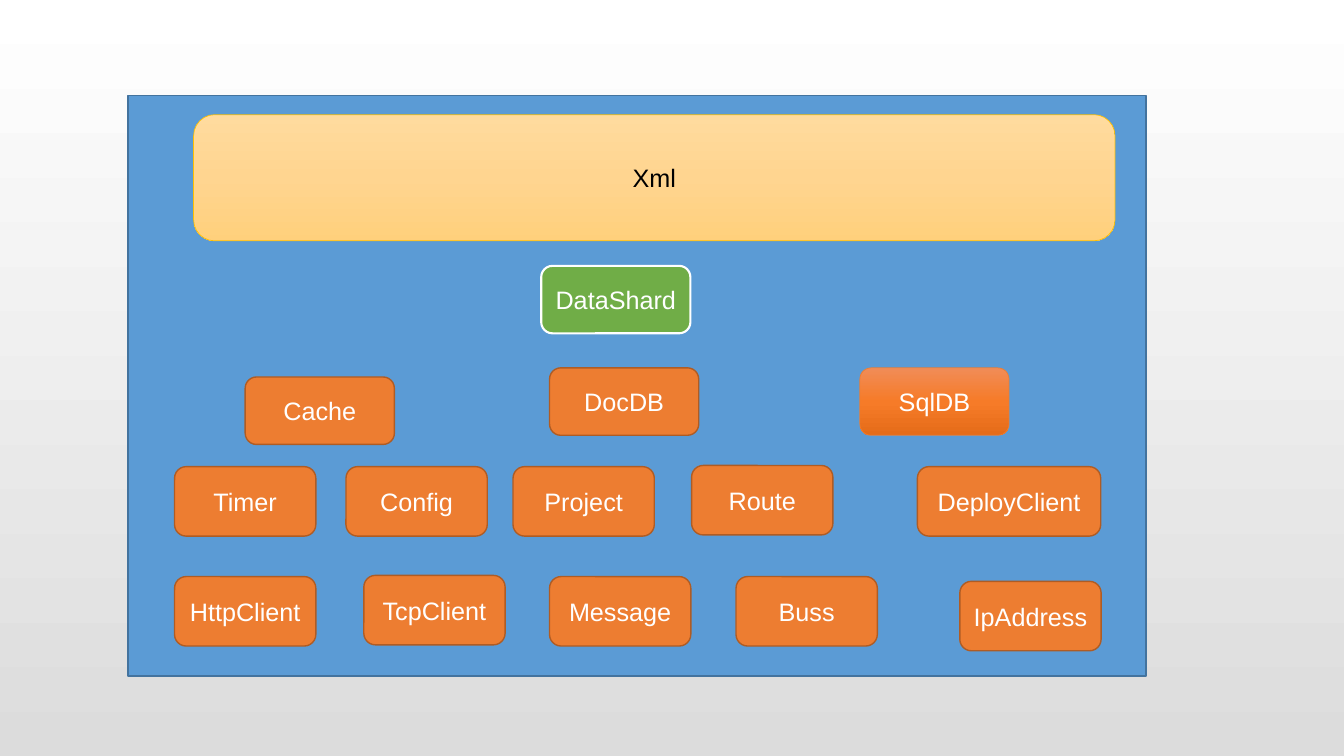
from lxml.etree import SubElement
from pptx import Presentation
from pptx.dml.color import RGBColor
from pptx.enum.shapes import MSO_SHAPE
from pptx.enum.text import MSO_ANCHOR, PP_ALIGN
from pptx.oxml.ns import qn
from pptx.util import Cm, Pt

ORANGE, ORANGE_EDGE = "ED7D31", "AF5C24"


def rgb(value):
    return RGBColor.from_string(value)


def paint(fill, element, colors):
    """Solid fill for one colour, evenly spaced downward gradient for several."""
    if len(colors) == 1:
        fill.solid()
        fill.fore_color.rgb = rgb(colors[0])
        return
    fill.gradient()
    fill.gradient_angle = 270
    stops = next(element.iter(qn("a:gsLst")))
    stops.clear()
    for i, color in enumerate(colors):
        stop = SubElement(stops, qn("a:gs"), pos=str(100000 * i // (len(colors) - 1)))
        SubElement(stop, qn("a:srgbClr"), val=color)


def write(shape, text, size=18, color="FFFFFF", font="Arial"):
    frame = shape.text_frame
    frame.word_wrap = True
    frame.vertical_anchor = MSO_ANCHOR.MIDDLE
    paragraph = frame.paragraphs[0]
    paragraph.alignment = PP_ALIGN.CENTER
    run = paragraph.add_run()
    run.text = text
    run.font.size = Pt(size)
    run.font.name = font
    run.font.color.rgb = rgb(color)


def block(slide, box, colors=(ORANGE,), edge=ORANGE_EDGE, edge_width=1,
          kind=MSO_SHAPE.ROUNDED_RECTANGLE):
    shape = slide.shapes.add_shape(kind, *(Cm(length) for length in box))
    shape.shadow.inherit = False
    paint(shape.fill, shape.element, colors)
    shape.line.color.rgb = rgb(edge)
    shape.line.width = Pt(edge_width)
    return shape


def data_format(slide, box):
    left, top, width, height = box
    xml = block(slide, (left + 1.65, top, width - 2.43, height),
                ("FFDB9E", "FFD590", "FFD07C"), "FFC000", 0.5)
    write(xml, "Xml", color="000000")


def data_layer(slide, box):
    left, top, width, height = box
    shard = block(slide, (left + 10.41, top, 3.76, height), ("70AD47",), "FFFFFF", 1.5)
    write(shard, "DataShard")


def module_row(slide, box, modules, module_width):
    """Each module: name, offset from the row's left and top, own look or width."""
    left, top, _, height = box
    for name, dx, dy, options in modules:
        look = dict(options)
        width = look.pop("width", module_width)
        write(block(slide, (left + dx, top + dy, width, height), **look), name)


def architecture(slide, box):
    left, top, width, height = box
    block(slide, box, ("5B9BD5",), "43739E", kind=MSO_SHAPE.RECTANGLE)

    def band(offset, band_height):
        return left, top + offset, width, band_height

    data_format(slide, band(0.48, 3.18))
    data_layer(slide, band(4.29, 1.7))

    # Data stores
    glossy = {"colors": ("F18C57", "F67B28", "E56C19"), "edge": ORANGE, "edge_width": 0.5}
    module_row(slide, band(6.86, 1.7), [
        ("Cache", 2.95, 0.23, {}),
        ("DocDB", 10.62, 0, {}),
        ("SqlDB", 18.44, 0, glossy),
    ], 3.76)

    # Services
    module_row(slide, band(9.35, 1.75), [
        ("Timer", 1.17, 0, {}),
        ("Config", 5.49, 0, {}),
        ("Project", 9.7, 0, {}),
        ("Route", 14.2, -0.03, {}),
        ("DeployClient", 19.89, 0, {"width": 4.62}),
    ], 3.56)

    # Network
    module_row(slide, band(12.12, 1.75), [
        ("HttpClient", 1.17, 0, {}),
        ("TcpClient", 5.94, -0.03, {}),
        ("Message", 10.62, 0, {}),
        ("Buss", 15.32, 0, {}),
        ("IpAddress", 20.96, 0.12, {}),
    ], 3.56)


def main():
    presentation = Presentation()
    presentation.slide_width, presentation.slide_height = Cm(33.87), Cm(19.05)
    slide = presentation.slides.add_slide(presentation.slide_layouts[6])
    paint(slide.background.fill, slide.element, ("FFFFFF", "DCDCDC"))
    architecture(slide, (3.23, 2.41, 25.65, 14.63))
    presentation.save("out.pptx")


if __name__ == "__main__":
    main()
